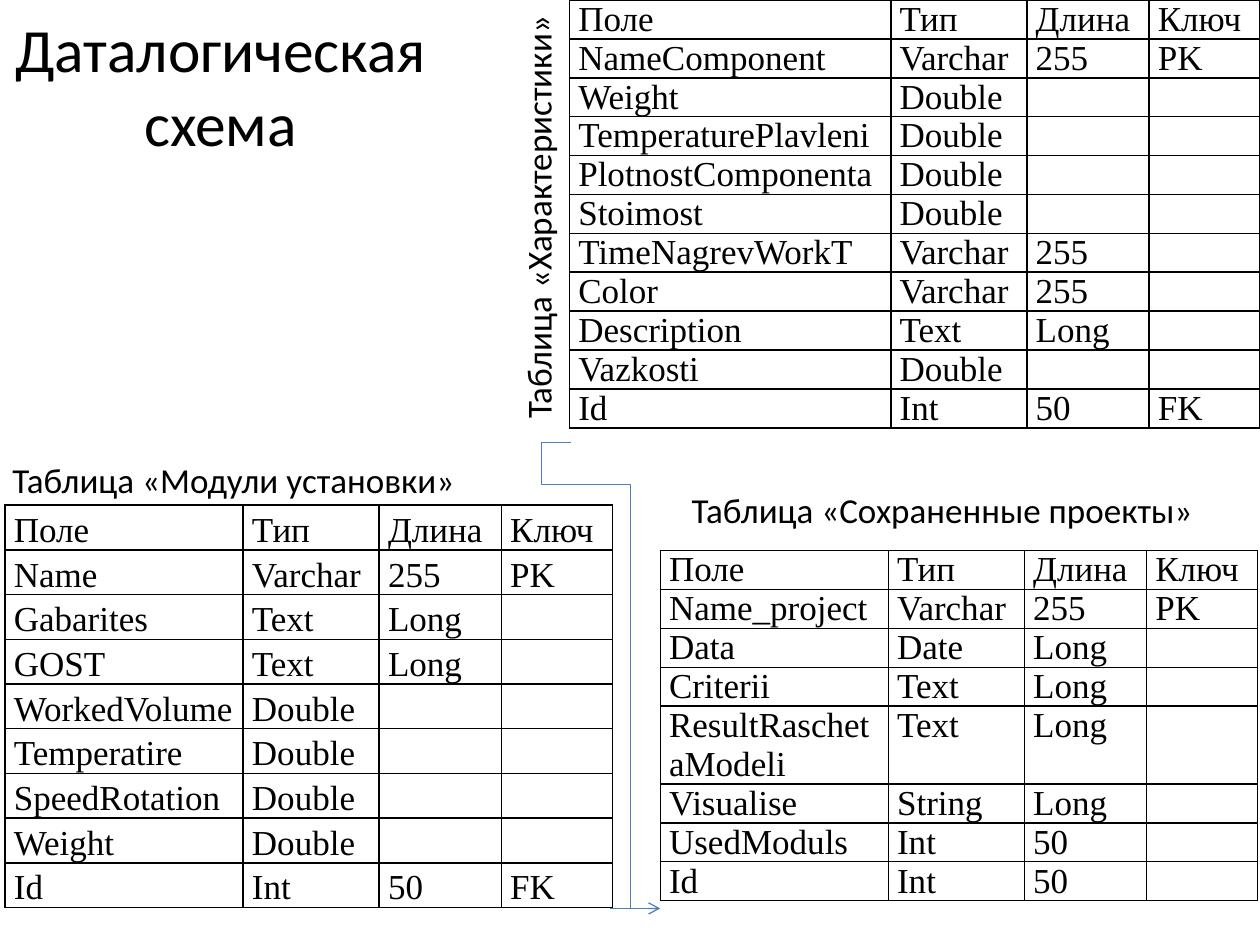
"""Draw the datalogical scheme: three field tables, their captions and the link between them."""
from dataclasses import dataclass
from typing import NamedTuple, Optional

from lxml import etree
from pptx import Presentation, util as u
from pptx.dml import color
from pptx.enum import shapes, text
from pptx.oxml import ns


@dataclass(frozen=True)
class Theme:
    """Colours, fonts and sizes in points."""
    ink: str = "000000"
    link: str = "4B7EBC"
    sans: str = "Calibri"
    serif: str = "Times New Roman"
    title: float = 35.1
    body: float = 20
    border: float = 1
    link_width: float = 0.75


class Area(NamedTuple):
    """Left, top, width and height in grid columns and rows."""
    left: float
    top: float
    width: float
    height: float


class Caption(NamedTuple):
    """A table caption and its place."""
    words: str
    area: Area
    rotation: int = 0
    wrap: bool = True


class FieldTable(NamedTuple):
    """A field table with one line of text for each row."""
    area: Area
    name_width: float
    row_height: float
    rows: tuple[str, ...]
    spacing: Optional[float] = None
    after: float = 0


class Link(NamedTuple):
    """A connector between two grid points."""
    start: tuple[float, float]
    end: tuple[float, float]
    arrow: bool = False
    rotation: int = 0
    bend: Optional[float] = None


THEME = Theme()
COLUMNS, ROWS = 100, 75
PAGE_WIDTH, PAGE_HEIGHT = u.Inches(10), u.Inches(7.5)
DETAIL_WIDTHS = (10.8, 9.7, 8.8)
HEADER = "Поле Тип Длина Ключ"
TITLE = "Даталогическая схема"
TITLE_AREA = Area(0, 2.9, 35, 7.7)

TABLES = (
    FieldTable(Area(52.4, 43.7, 47.4, 30), 18.1, 1.7, (
        HEADER, "Name_project Varchar 255 PK", "Data Date Long", "Criterii Text Long",
        "ResultRaschetaModeli Text Long", "Visualise String Long",
        "UsedModuls Int 50", "Id Int 50")),
    FieldTable(Area(0.4, 40.1, 48.2, 34.5), 18.9, 2.3, (
        HEADER, "Name Varchar 255 PK", "Gabarites Text Long", "GOST Text Long",
        "WorkedVolume Double", "Temperatire Double", "SpeedRotation Double",
        "Weight Double", "Id Int 50 FK"), 1.15, 10),
    FieldTable(Area(45.2, 0, 54.8, 36.7), 25.5, 1.7, (
        HEADER, "NameComponent Varchar 255 PK", "Weight Double",
        "TemperaturePlavleni Double", "PlotnostComponenta Double", "Stoimost Double",
        "TimeNagrevWorkT Varchar 255", "Color Varchar 255", "Description Text Long",
        "Vazkosti Double", "Id Int 50 FK")),
)
LINKS = (
    Link((48.4, 72.1), (52.4, 72.1), arrow=True),
    Link((28, 57.2), (65, 50.1), rotation=270, bend=0.91),
    Link((42.9, 35.1), (45.3, 35.1)),
)
CAPTIONS = (
    Caption("Таблица «Сохраненные проекты»", Area(53.9, 38.3, 44.1, 4.4)),
    Caption("Таблица «Модули установки»", Area(0, 35.9, 37.4, 4.4)),
    Caption("Таблица «Характеристики»", Area(25.6, 14.9, 34.2, 4.4), 270, False),
)


def across(columns: float) -> u.Emu:
    """Turn grid columns into a length."""
    return u.Emu(round(PAGE_WIDTH * columns / COLUMNS))


def down(rows: float) -> u.Emu:
    """Turn grid rows into a length."""
    return u.Emu(round(PAGE_HEIGHT * rows / ROWS))


def place(area: Area) -> tuple[u.Emu, u.Emu, u.Emu, u.Emu]:
    """Turn an area into lengths."""
    return across(area.left), down(area.top), across(area.width), down(area.height)


def write(para, words: str, font: str, size: float) -> None:
    """Add one formatted run to a paragraph."""
    span = para.add_run()
    span.text = words
    span.font.name = font
    span.font.size = u.Pt(size)
    span.font.color.rgb = color.RGBColor.from_string(THEME.ink)


def draw_title(page) -> None:
    """Move and fill the title placeholder."""
    box = page.shapes.title
    box.left, box.top, box.width, box.height = place(TITLE_AREA)
    frame = box.text_frame
    frame.auto_size = text.MSO_AUTO_SIZE.NONE
    frame.vertical_anchor = text.MSO_ANCHOR.MIDDLE
    para = frame.paragraphs[0]
    para.alignment = text.PP_ALIGN.CENTER
    write(para, TITLE, THEME.sans, THEME.title)


def draw_borders(cell) -> None:
    """Outline all four sides of a cell."""
    properties = cell._tc.get_or_add_tcPr()
    for index, side in enumerate(("lnL", "lnR", "lnT", "lnB")):
        line = etree.Element(ns.qn(f"a:{side}"), w=str(u.Pt(THEME.border)))
        fill = etree.SubElement(line, ns.qn("a:solidFill"))
        etree.SubElement(fill, ns.qn("a:srgbClr"), val=THEME.ink)
        properties.insert(index, line)


def draw_table(page, table: FieldTable) -> None:
    """Draw a field table with plain bordered cells."""
    widths = (table.name_width, *DETAIL_WIDTHS)
    box = page.shapes.add_table(len(table.rows), len(widths), *place(table.area))
    grid = box.table
    grid.first_row = grid.horz_banding = False
    for column, width in zip(grid.columns, widths):
        column.width = across(width)
    for row, line in zip(grid.rows, table.rows):
        row.height = down(table.row_height)
        words = line.split()
        for index, cell in enumerate(row.cells):
            cell.margin_left = cell.margin_right = u.Inches(0.07)
            cell.margin_top = cell.margin_bottom = 0
            cell.fill.background()
            draw_borders(cell)
            if index < len(words):
                para = cell.text_frame.paragraphs[0]
                para.line_spacing = table.spacing
                para.space_after = u.Pt(table.after)
                write(para, words[index], THEME.serif, THEME.body)
    box.height = down(table.area.height)


def draw_link(page, link: Link) -> None:
    """Draw a straight or bent connector."""
    kind = shapes.MSO_CONNECTOR.STRAIGHT if link.bend is None else shapes.MSO_CONNECTOR.ELBOW
    (left, top), (right, bottom) = link.start, link.end
    connector = page.shapes.add_connector(
        kind, across(left), down(top), across(right), down(bottom))
    connector.line.color.rgb = color.RGBColor.from_string(THEME.link)
    connector.line.width = u.Pt(THEME.link_width)
    properties = connector._element.spPr
    etree.SubElement(properties, ns.qn("a:effectLst"))
    if link.arrow:
        etree.SubElement(properties.find(ns.qn("a:ln")), ns.qn("a:tailEnd"), type="arrow")
    if link.bend is not None:
        properties.find(ns.qn("a:xfrm")).set("rot", str(link.rotation * 60000))
        guides = properties.find(ns.qn("a:prstGeom")).find(ns.qn("a:avLst"))
        etree.SubElement(guides, ns.qn("a:gd"), name="adj1",
                         fmla=f"val {round(link.bend * 100000)}")


def draw_caption(page, caption: Caption) -> None:
    """Draw a table caption."""
    box = page.shapes.add_textbox(*place(caption.area))
    box.rotation = caption.rotation
    frame = box.text_frame
    frame.word_wrap = caption.wrap
    frame.auto_size = text.MSO_AUTO_SIZE.SHAPE_TO_FIT_TEXT
    write(frame.paragraphs[0], caption.words, THEME.sans, THEME.body)


def main() -> None:
    """Build and save the deck."""
    deck = Presentation()
    deck.slide_width, deck.slide_height = PAGE_WIDTH, PAGE_HEIGHT
    page = deck.slides.add_slide(deck.slide_layouts[5])
    draw_title(page)
    for draw, items in ((draw_table, TABLES), (draw_link, LINKS), (draw_caption, CAPTIONS)):
        for item in items:
            draw(page, item)
    deck.save("out.pptx")


if __name__ == "__main__":
    main()
